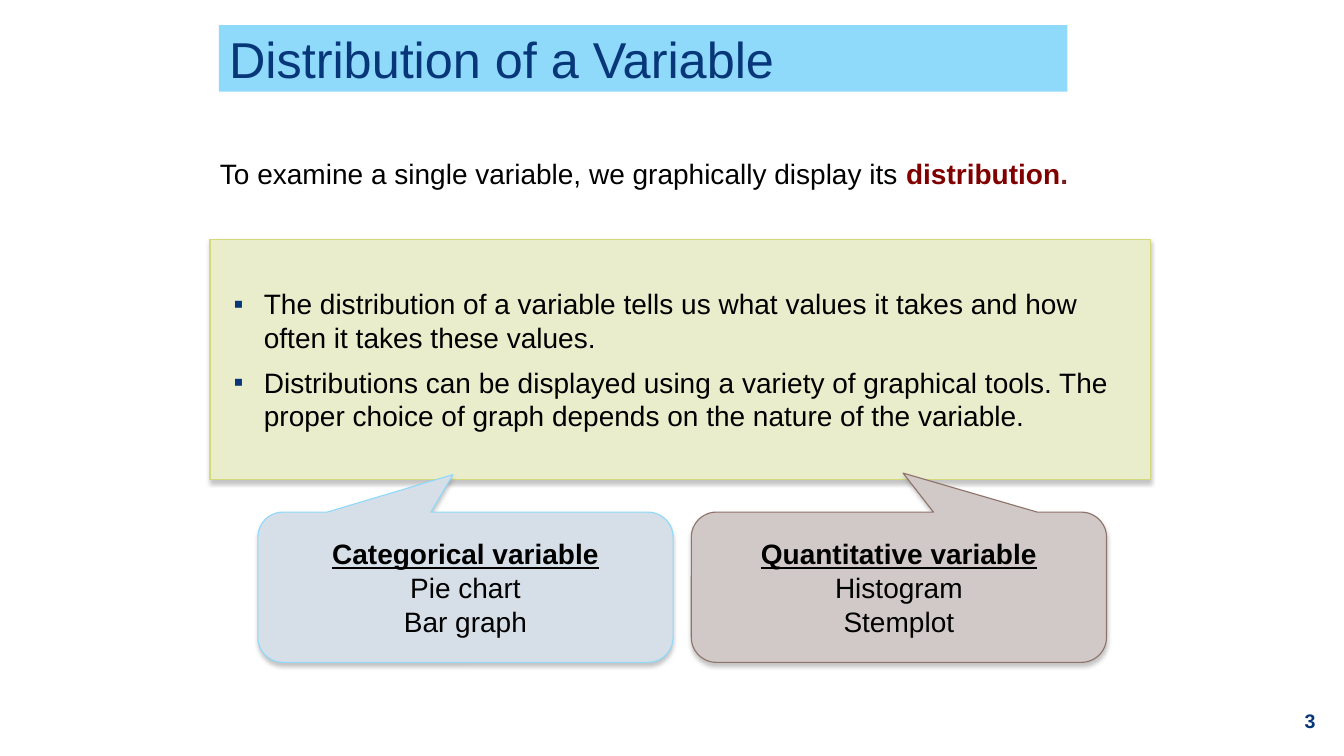
from lxml import etree
from pptx import Presentation
from pptx.dml.color import RGBColor
from pptx.enum.shapes import MSO_SHAPE
from pptx.enum.text import MSO_ANCHOR, MSO_AUTO_SIZE, PP_ALIGN
from pptx.oxml.ns import qn
from pptx.util import Pt

LEFT, CENTER, RIGHT = PP_ALIGN.LEFT, PP_ALIGN.CENTER, PP_ALIGN.RIGHT
TOP, MIDDLE = MSO_ANCHOR.TOP, MSO_ANCHOR.MIDDLE
NO_FIT = MSO_AUTO_SIZE.NONE
CALLOUT = MSO_SHAPE.ROUNDED_RECTANGULAR_CALLOUT

# Content
TITLE = "Distribution of a Variable"
NUMBER = "3"
INTRO = [
    ("To examine a single variable, we graphically display its ", "black", False),
    ("distribution", "red", True),
    (".", "wine", True),
]
POINTS = [
    "The distribution of a variable tells us what values it takes "
    "and how often it takes these values.",
    "Distributions can be displayed using a variety of graphical tools. "
    "The proper choice of graph depends on the nature of the variable.",
]
# Lines, fill, border, pointer tip
KINDS = [
    (["Categorical variable", "Pie chart", "Bar graph"],
     "blue", "sky", (-0.03, -0.75)),
    (["Quantitative variable", "Histogram", "Stemplot"],
     "taupe", "brown", (0.01, -0.76)),
]
COLORS = {
    "navy": "073779", "sky": "8FD9FB", "black": "000000", "red": "800000",
    "wine": "751D25", "cream": "EAEDCB", "lime": "D2DA7A", "blue": "D6DFE8",
    "taupe": "D1C9C7", "brown": "8E736A", "gray": "808080",
}

# Layout in points
WIDE, HIGH = 960, 540
EDGE, SPAN = 150, 672
CARD_W, CARD_H, CARD_GAP, CARD_TOP = 296.6, 107.3, 13, 365.8
CARD_LEFT = 184.2


def color(name):
    return RGBColor.from_string(COLORS[name])


def place(shape, left, top, width, height):
    shape.left, shape.top = Pt(left), Pt(top)
    shape.width, shape.height = Pt(width), Pt(height)


def style(run, size, tint="black", bold=False):
    font = run.font
    font.name, font.size, font.bold = "Arial", Pt(size), bold
    font.color.rgb = color(tint)


def frame(shape, anchor):
    text = shape.text_frame
    text.word_wrap, text.auto_size = True, NO_FIT
    text.vertical_anchor = anchor
    return text


def paint(shape, fill, line):
    shape.fill.solid()
    shape.fill.fore_color.rgb = color(fill)
    shape.line.color.rgb = color(line)
    shape.line.width = Pt(0.79)
    # Soft shadow straight below
    shape.shadow.inherit = False
    effect = shape._element.spPr.find(qn("a:effectLst"))
    outer = etree.SubElement(
        effect, qn("a:outerShdw"), blurRad=str(Pt(3)), dist=str(Pt(2.4)),
        dir="5400000", algn="ctr", rotWithShape="0")
    tone = etree.SubElement(outer, qn("a:srgbClr"), val=COLORS["gray"])
    etree.SubElement(tone, qn("a:alpha"), val="45000")


def bullet(para):
    props = para._p.get_or_add_pPr()
    props.set("marL", str(Pt(31.3)))
    props.set("indent", str(Pt(-21.6)))
    tint = etree.SubElement(props, qn("a:buClr"))
    etree.SubElement(tint, qn("a:srgbClr"), val=COLORS["navy"])
    etree.SubElement(props, qn("a:buFont"), typeface="Arial")
    etree.SubElement(props, qn("a:buChar"), char="▪")


def main():
    deck = Presentation()
    deck.slide_width, deck.slide_height = Pt(WIDE), Pt(HIGH)
    slide = deck.slides.add_slide(deck.slide_layouts[1])
    shapes = slide.shapes
    for spare in list(slide.placeholders)[2:]:
        spare._element.getparent().remove(spare._element)

    # Title
    title = shapes.title
    place(title, 156.4, 18, 606, 47.5)
    title.fill.solid()
    title.fill.fore_color.rgb = color("sky")
    text = frame(title, MIDDLE)
    text.text = TITLE
    text.paragraphs[0].alignment = LEFT
    style(text.paragraphs[0].runs[0], 36, "navy")

    # Intro sentence
    intro = shapes.add_textbox(Pt(EDGE), Pt(108), Pt(SPAN), Pt(63))
    para = frame(intro, TOP).paragraphs[0]
    para.space_before = Pt(3)
    for words, tint, bold in INTRO:
        run = para.add_run()
        run.text = words
        style(run, 20, tint, bold)

    # Panel with the bullet list
    panel = slide.placeholders[1]
    place(panel, EDGE, 171, SPAN, 171.5)
    paint(panel, "cream", "lime")
    text = frame(panel, MIDDLE)
    text.text = "\n".join(POINTS)
    for i, para in enumerate(text.paragraphs):
        para.space_before = Pt(8 if i else 3)
        bullet(para)
        style(para.runs[0], 20)

    # Callouts for the two kinds of variable
    for i, (lines, fill, line, tip) in enumerate(KINDS):
        left = CARD_LEFT + i * (CARD_W + CARD_GAP)
        card = shapes.add_shape(
            CALLOUT, Pt(left), Pt(CARD_TOP), Pt(CARD_W), Pt(CARD_H))
        card.adjustments[0], card.adjustments[1] = tip
        paint(card, fill, line)
        text = frame(card, MIDDLE)
        text.text = "\n".join(lines)
        for j, para in enumerate(text.paragraphs):
            para.alignment = CENTER
            style(para.runs[0], 20, bold=j == 0)
            para.runs[0].font.underline = j == 0

    # Slide number
    number = shapes.add_textbox(Pt(893.5), Pt(500.4), Pt(53.3), Pt(28.8))
    text = frame(number, MIDDLE)
    text.text = NUMBER
    text.paragraphs[0].alignment = RIGHT
    style(text.paragraphs[0].runs[0], 14, "navy", True)

    deck.save("out.pptx")


if __name__ == "__main__":
    main()
